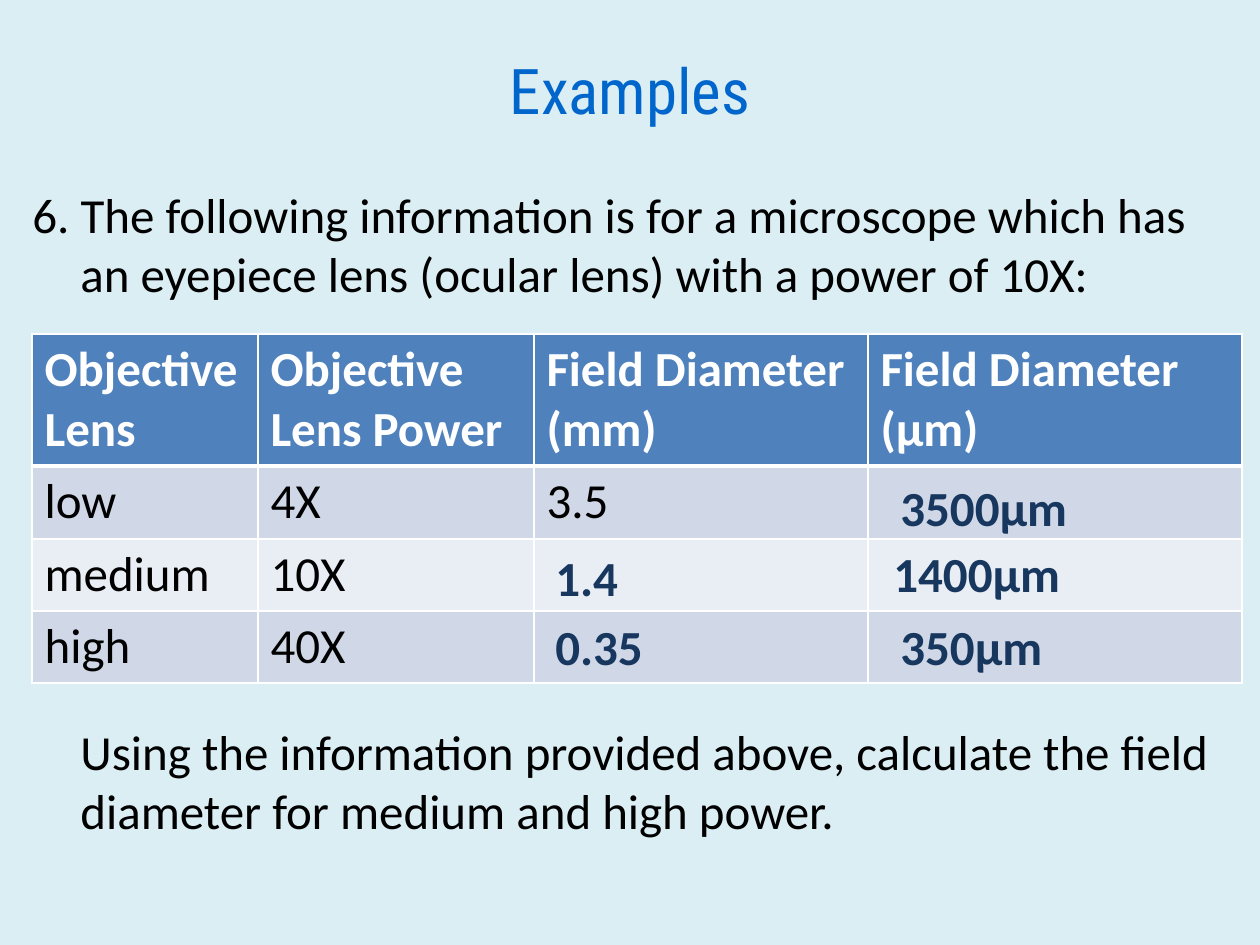
from lxml import etree
from pptx import Presentation, util as u
from pptx.dml.color import RGBColor
from pptx.enum import text as t
from pptx.oxml import ns

PX = 914400 / 126
PALE = RGBColor(0xDB, 0xEE, 0xF4)
BLUE = RGBColor(0x00, 0x66, 0xCC)
NAVY = RGBColor(0x17, 0x37, 0x5E)
BLACK = RGBColor(0, 0, 0)
WHITE = RGBColor(0xFF, 0xFF, 0xFF)
HEAD = RGBColor(0x4F, 0x81, 0xBD)
BANDS = [RGBColor(0xE9, 0xED, 0xF4), RGBColor(0xD0, 0xD8, 0xE8)]

COLS = [226, 276, 334, 374]
ROWS = [132, 73, 72, 72]
DATA = [
    ["Objective Lens", "Objective Lens Power", "Field Diameter\n(mm)", "Field Diameter\n(μm)"],
    ["low", "4X", "3.5", ""],
    ["medium", "10X", "", ""],
    ["high", "40X", "", ""],
]
NOTES = [
    ("3500µm", 856, 137, 194),
    ("1.4", 511, 207, 89),
    ("0.35", 511, 276, 115),
    ("1400µm", 849, 203, 194),
    ("350µm", 856, 276, 169),
]


def px(n):
    return u.Emu(round(n * PX))


def write(frame, words, size=28, font="Calibri", color=BLACK, bold=False, align=None):
    frame.text = words
    for para in frame.paragraphs:
        para.alignment = align
        face = para.font
        face.size, face.name, face.bold = u.Pt(size), font, bold
        face.color.rgb = color


def text_box(slide, box, words, wrap=True, anchor=t.MSO_ANCHOR.TOP, **style):
    frame = slide.shapes.add_textbox(*map(px, box)).text_frame
    frame.word_wrap = wrap
    frame.vertical_anchor = anchor
    write(frame, words, **style)
    return frame


def title(slide, box):
    text_box(slide, box, "Examples", anchor=t.MSO_ANCHOR.MIDDLE, size=36,
             font="Roboto Condensed", color=BLUE, align=t.PP_ALIGN.CENTER)


def body(slide, box):
    frame = text_box(
        slide, box,
        "6.\u00a0The following information is for a microscope which has "
        "an eyepiece lens (ocular lens) with a power of 10X:\n"
        "Using the information provided above, calculate the field "
        "diameter for medium and high power.")
    for para, dent in zip(frame.paragraphs, (-48, 0)):
        props = para._p.get_or_add_pPr()
        props.set("marL", str(px(48)))
        props.set("indent", str(px(dent)))
    frame.paragraphs[1].space_before = u.Pt(240)


def edge(cell, side, width):
    line = etree.Element(ns.qn("a:" + side), w=str(u.Pt(width)))
    fill = etree.SubElement(line, ns.qn("a:solidFill"))
    etree.SubElement(fill, ns.qn("a:srgbClr"), val=str(WHITE))
    return line


def table(slide, box):
    grid = slide.shapes.add_table(len(ROWS), len(COLS), *map(px, box)).table
    for col, wide in zip(grid.columns, COLS):
        col.width = px(wide)
    for r, (row, tall) in enumerate(zip(grid.rows, ROWS)):
        row.height = px(tall)
        for cell, words in zip(row.cells, DATA[r]):
            top = r == 0
            write(cell.text_frame, words, color=WHITE if top else BLACK, bold=top)
            cell.fill.solid()
            cell.fill.fore_color.rgb = HEAD if top else BANDS[r % 2]
            props = cell._tc.get_or_add_tcPr()
            wides = (1, 1, 3 if r == 1 else 1, 3 if top else 1)
            for i, (side, wide) in enumerate(zip(("lnL", "lnR", "lnT", "lnB"), wides)):
                props.insert(i, edge(cell, side, wide))


def answers(slide, box):
    for words, x, y, wide in NOTES:
        text_box(slide, (box[0] + x, box[1] + y, wide, 72), words,
                 wrap=False, color=NAVY, bold=True)


def main():
    deck = Presentation()
    deck.slide_width, deck.slide_height = px(1260), px(945)
    slide = deck.slides.add_slide(deck.slide_layouts[6])
    slide.background.fill.solid()
    slide.background.fill.fore_color.rgb = PALE
    area = (32, 334, sum(COLS), sum(ROWS))
    body(slide, (20, 178, 1231, 699))
    title(slide, (63, 10, 1134, 158))
    table(slide, area)
    answers(slide, area)
    deck.save("out.pptx")


if __name__ == "__main__":
    main()
